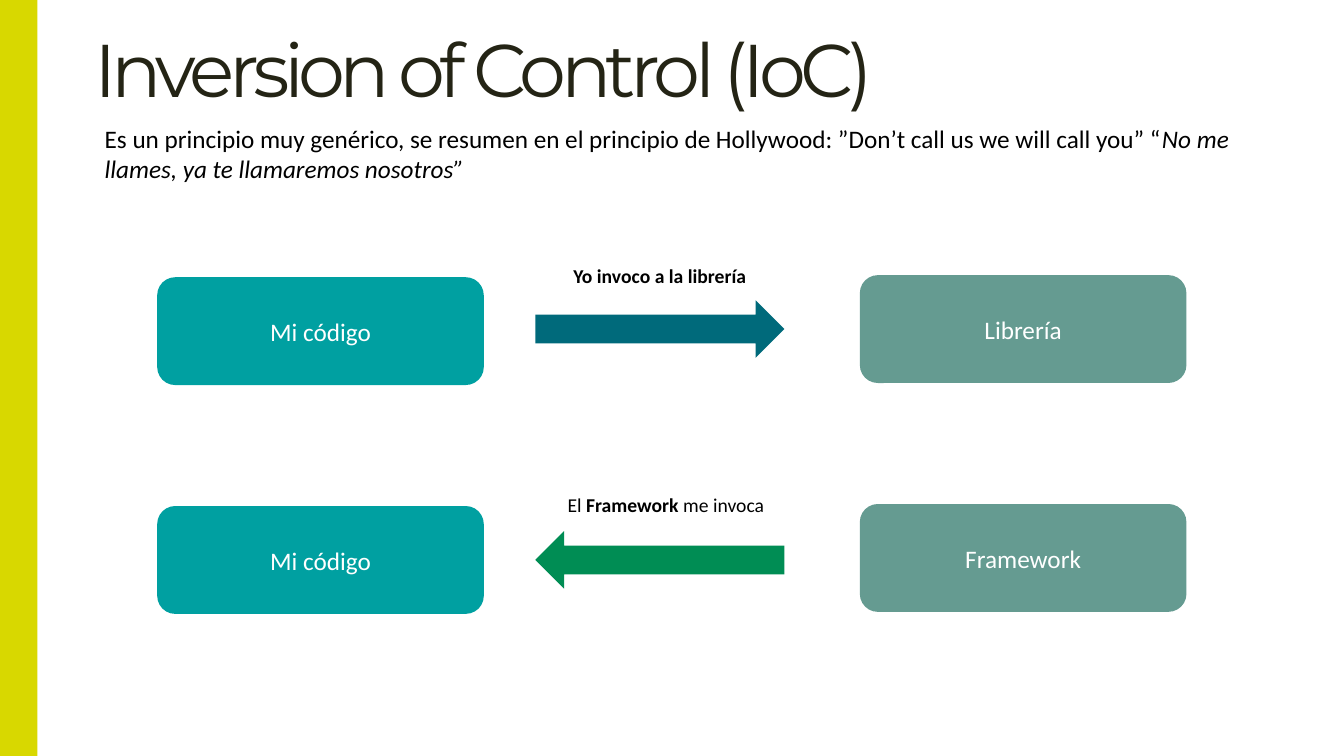
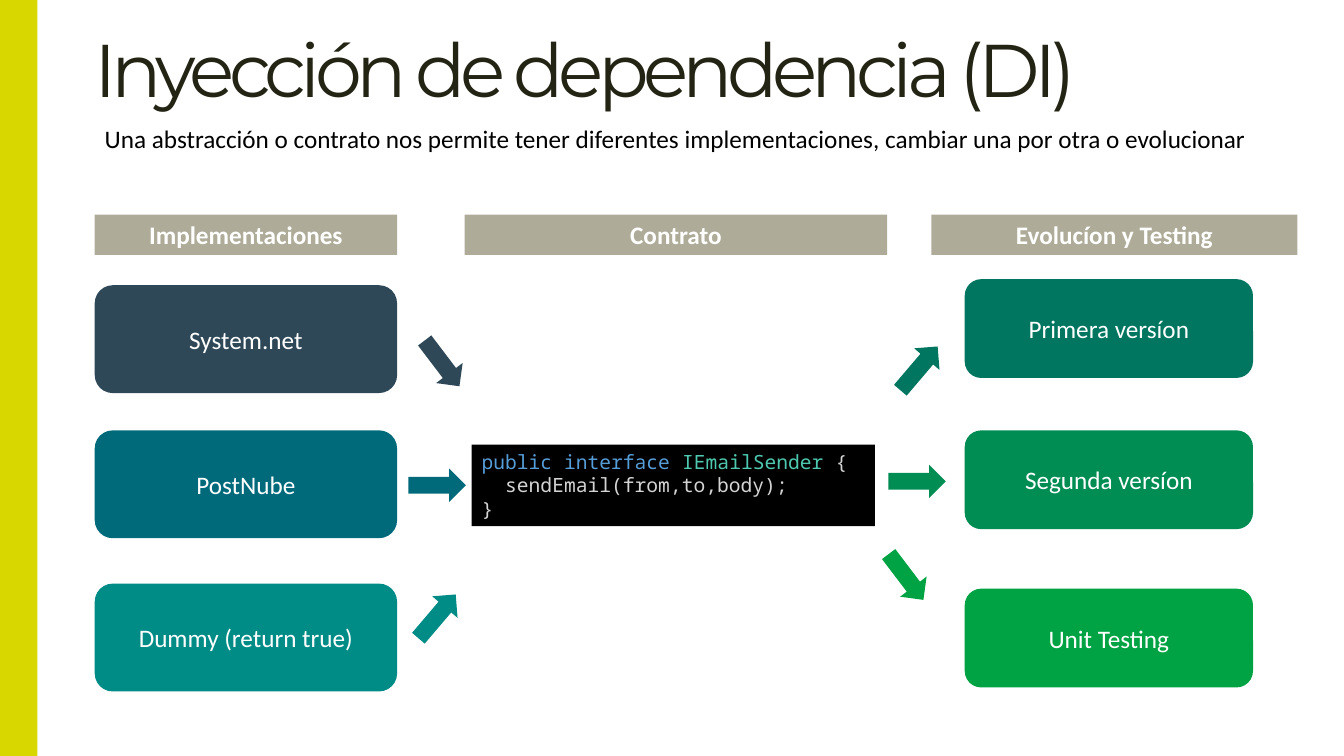
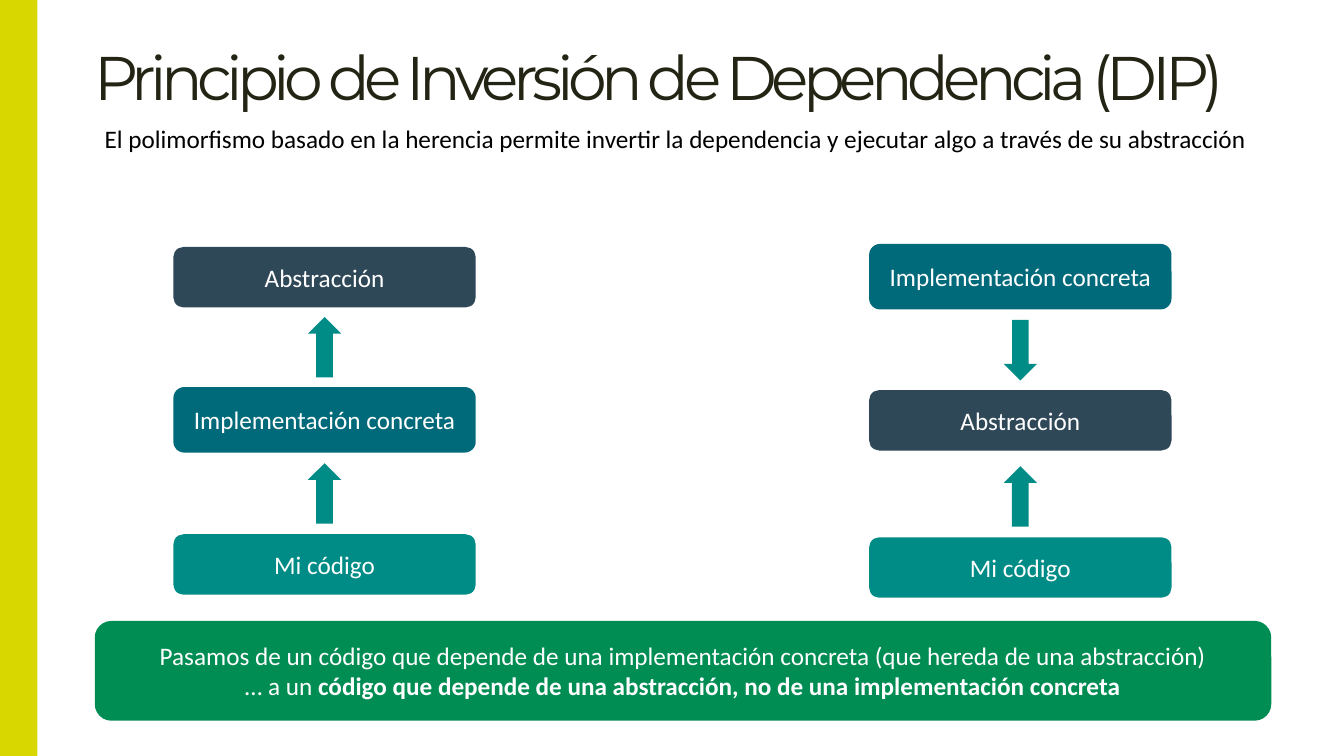
from pptx import Presentation
from pptx.dml.color import RGBColor
from pptx.enum.shapes import MSO_SHAPE
from pptx.enum.text import MSO_ANCHOR, PP_ALIGN
from pptx.util import Inches, Pt

RECT, ROUND = MSO_SHAPE.RECTANGLE, MSO_SHAPE.ROUNDED_RECTANGLE
RIGHT, LEFT = MSO_SHAPE.RIGHT_ARROW, MSO_SHAPE.LEFT_ARROW
TOP, MIDDLE, BOTTOM = MSO_ANCHOR.TOP, MSO_ANCHOR.MIDDLE, MSO_ANCHOR.BOTTOM
START, CENTER = PP_ALIGN.LEFT, PP_ALIGN.CENTER


class Theme:
    lime, ink, black, white = "D8D800", "242415", "000000", "FFFFFF"
    navy, petrol, teal = "2F4858", "006A7B", "008C86"
    pine, green, leaf = "007661", "008D54", "00A343"
    aqua, sage, stone = "00A0A1", "659B91", "AEAC99"
    keyword, type_name, code = "569CD6", "4EC9B0", "D4D4D4"
    title_font, body_font, code_font = "Montserrat", "Calibri", "Noto Sans Mono"
    body_size, label_size = 18, 14


deck = Presentation()
deck.slide_width, deck.slide_height = Inches(13.33), Inches(7.5)
COLUMN, ROW = deck.slide_width / 100, deck.slide_height / 100
MARGIN = 7.05


def write(target, lines, size=Theme.body_size, color=Theme.black,
          font=Theme.body_font, align=START, anchor=TOP):
    frame = target.text_frame
    frame.word_wrap = True
    frame.vertical_anchor = anchor
    for number, line in enumerate(lines):
        paragraph = frame.paragraphs[0] if number == 0 else frame.add_paragraph()
        paragraph.alignment = align
        paragraph.font.name, paragraph.font.size = font, Pt(size)
        paragraph.font.color.rgb = RGBColor.from_string(color)
        for text, style in line:
            run = paragraph.add_run()
            run.text = text
            if style == "bold":
                run.font.bold = True
            elif style == "italic":
                run.font.italic = True
            elif style:
                run.font.color.rgb = RGBColor.from_string(style)
    return frame


def place(slide, kind, x, y, width, height, fill=None, turn=0):
    area = [int(v) for v in (x * COLUMN, y * ROW, width * COLUMN, height * ROW)]
    if kind is None:
        return slide.shapes.add_textbox(*area)
    part = slide.shapes.add_shape(kind, *area)
    part.shadow.inherit = False
    part.fill.solid()
    part.fill.fore_color.rgb = RGBColor.from_string(fill)
    part.line.fill.background()
    part.rotation = turn
    return part


topics = [
    ("Inversion of Control (IoC)", 53.3, 9.47, [
        ("Es un principio muy genérico, se resumen en el principio de Hollywood: "
         "”Don’t call us we will call you” “", None),
        ("No me llames, ya te llamaremos nosotros”", "italic")]),
    ("Inyección de dependencia (DI)", 53.3, 5.33, [
        ("Una abstracción o contrato nos permite tener diferentes implementaciones, "
         "cambiar una por otra o evolucionar", None)]),
    ("Principio de Inversión de Dependencia (DIP)", 44, 5.33, [
        ("El polimorfismo basado en la herencia permite invertir la dependencia "
         "y ejecutar algo a través de su abstracción", None)]),
]
slides = []
for heading, size, lead_height, lead in topics:
    slide = deck.slides.add_slide(deck.slide_layouts[6])
    slides.append(slide)
    title = write(place(slide, None, MARGIN, 0, 90.15, 15.73), [[(heading, None)]],
                  size, Theme.ink, Theme.title_font, anchor=BOTTOM)
    title.margin_left = 0
    title.paragraphs[0].line_spacing = 0.9
    title.paragraphs[0].runs[0].font._element.set("spc", "-400")
    place(slide, RECT, 0, 0, 2.78, 100, Theme.lime)
    write(place(slide, None, MARGIN, 15.6, 89.5, lead_height), [lead])
control, injection, inversion = slides

calls = [
    ("Librería", RIGHT, Theme.petrol, 39.73, 18.53,
     [("Yo invoco a la librería", "bold")]),
    ("Framework", LEFT, Theme.green, 70.27, 19.43,
     [("El ", None), ("Framework", "bold"), (" me invoca", None)]),
]
for step, (partner, arrow, color, arrow_y, label_width, label) in enumerate(calls):
    drop = step * 30.27
    for name, x, y, fill in [("Mi código", 11.7, 36.67, Theme.aqua),
                             (partner, 63.98, 36.4, Theme.sage)]:
        write(place(control, ROUND, x, y + drop, 24.3, 14.27, fill),
              [[(name, None)]], color=Theme.white, align=CENTER, anchor=MIDDLE)
    place(control, arrow, 39.83, arrow_y, 18.53, 7.6, color)
    write(place(control, None, 39.83, 34.27 + drop, label_width, 4.53), [label],
          Theme.label_size, align=CENTER)

for name, x, width in [("Implementaciones", MARGIN, 22.5), ("Contrato", 34.58, 31.43),
                       ("Evolucíon y Testing", 69.3, 27.23)]:
    write(place(injection, RECT, x, 28.4, width, 5.33, Theme.stone),
          [[(name, "bold")]], color=Theme.white, align=CENTER, anchor=MIDDLE)

implementations = [
    ("System.net", 37.73, Theme.navy, 30.75, 45.87, 52.8),
    ("PostNube", 56.93, Theme.petrol, 30.38, 62, 0),
    ("Dummy (return true)", 77.2, Theme.teal, 30.38, 79.33, 310.4),
]
evolutions = [
    ("Primera versíon", 36.93, Theme.pine, 66.24, 46.53, 310.4),
    ("Segunda versíon", 56.93, Theme.green, 66.09, 61.47, 0),
    ("Unit Testing", 77.87, Theme.leaf, 65.27, 74.13, 52.8),
]
for x, width, height, options in [(MARGIN, 22.5, 14.27, implementations),
                                  (71.78, 21.45, 13.07, evolutions)]:
    for name, y, color, arrow_x, arrow_y, turn in options:
        write(place(injection, ROUND, x, y, width, height, color),
              [[(name, None)]], color=Theme.white, align=CENTER, anchor=MIDDLE)
        place(injection, RIGHT, arrow_x, arrow_y, 4.28, 4.4, color, turn)

contract = write(
    place(injection, RECT, 35.1, 58.8, 30, 10.8, Theme.black),
    [[("public interface ", Theme.keyword), ("IEmailSender", Theme.type_name), (" {", None)],
     [("sendEmail(from,to,body);", None)],
     [("}", None)]],
    Theme.label_size, Theme.code, Theme.code_font)
contract.paragraphs[1]._p.get_or_add_pPr().set("marL", str(Pt(16.8)))

abstraction = ("Abstracción", Theme.navy, 8)
concrete = ("Implementación concreta", Theme.petrol, 8.67)
own_code = ("Mi código", Theme.teal, 8)
stacks = [
    (12.9, [(abstraction, 32.67), (concrete, 51.2), (own_code, 70.67)],
     [(43.73, 270), (63.07, 270)]),
    (64.67, [(concrete, 32.27), (abstraction, 51.6), (own_code, 71.07)],
     [(44.13, 90), (63.47, 270)]),
]
for x, layers, arrows in stacks:
    for (name, color, height), y in layers:
        write(place(inversion, ROUND, x, y, 22.5, height, color),
              [[(name, None)]], color=Theme.white, align=CENTER, anchor=MIDDLE)
    for y, turn in arrows:
        place(inversion, RIGHT, x + (22.5 - 4.5) / 2, y, 4.5, 4.4, Theme.teal, turn)

write(place(inversion, ROUND, MARGIN, 82.13, 87.54, 13.2, Theme.green),
      [[("Pasamos de un código que depende de una implementación concreta "
         "(que hereda de una abstracción)", None)],
       [("… a un ", None),
        ("código que depende de una abstracción, no de una implementación concreta", "bold")]],
      color=Theme.white, align=CENTER, anchor=MIDDLE)

deck.save("out.pptx")
